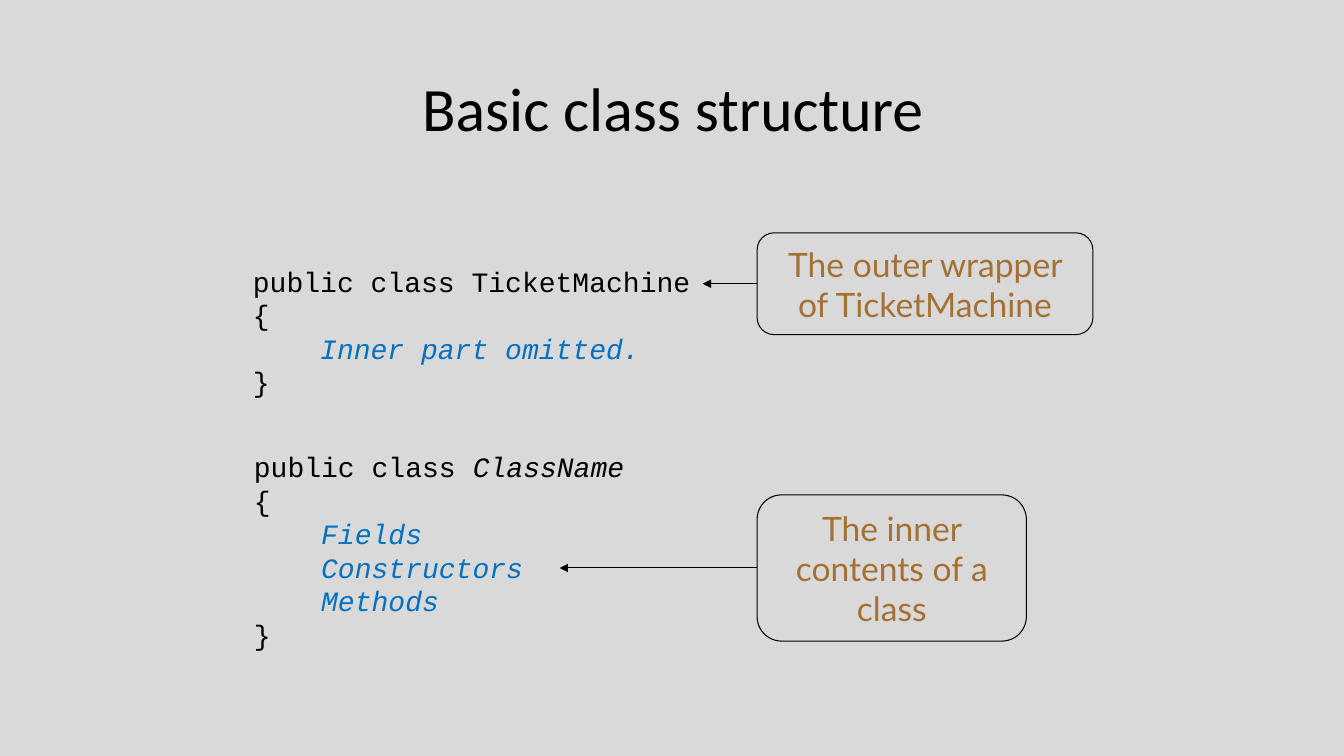
from lxml import etree
from pptx import Presentation
from pptx.dml.color import RGBColor
from pptx.enum.shapes import MSO_CONNECTOR, MSO_SHAPE
from pptx.enum.text import MSO_ANCHOR, MSO_AUTO_SIZE, PP_ALIGN
from pptx.oxml.ns import qn
from pptx.util import Inches, Pt

STRAIGHT = MSO_CONNECTOR.STRAIGHT
ROUNDED = MSO_SHAPE.ROUNDED_RECTANGLE
MIDDLE = MSO_ANCHOR.MIDDLE
CENTER = PP_ALIGN.CENTER
GROW = MSO_AUTO_SIZE.SHAPE_TO_FIT_TEXT
LEFT_SIDE = 1

BACKGROUND = RGBColor(0xD9, 0xD9, 0xD9)
BLACK = RGBColor(0x00, 0x00, 0x00)
BLUE = RGBColor(0x00, 0x70, 0xC0)
BROWN = RGBColor(0xA5, 0x71, 0x33)

INDENT = "    "
CALLOUT_LEFT = 7.51

TICKET_MACHINE = [
    [("public class TicketMachine", BLACK, False)],
    [("{", BLACK, False)],
    [(INDENT + "Inner part omitted.", BLUE, True)],
    [("}", BLACK, False)],
]
CLASS_NAME = [
    [("public class ", BLACK, False), ("ClassName", BLACK, True)],
    [("{", BLACK, False)],
    [(INDENT + "Fields", BLUE, True)],
    [(INDENT + "Constructors", BLUE, True)],
    [(INDENT + "Methods", BLUE, True)],
    [("}", BLACK, False)],
]


def set_centered(tf, text, font, size, color):
    tf.word_wrap = True
    tf.vertical_anchor = MIDDLE
    p = tf.paragraphs[0]
    p.text = text
    p.alignment = CENTER
    p.font.name = font
    p.font.size = Pt(size)
    p.font.color.rgb = color


def add_title(s, box, text):
    sp = s.shapes.add_textbox(*map(Inches, box))
    set_centered(sp.text_frame, text, "Calibri", 44, BLACK)


def add_code(s, box, lines):
    tf = s.shapes.add_textbox(*map(Inches, box)).text_frame
    tf.word_wrap = False
    tf.auto_size = GROW
    for i, line in enumerate(lines):
        p = tf.add_paragraph() if i else tf.paragraphs[0]
        p.font.name = "Courier New"
        p.font.size = Pt(20)
        for text, color, italic in line:
            r = p.add_run()
            r.text = text
            r.font.color.rgb = color
            r.font.italic = italic


def add_callout(s, box, text, tip_x):
    left, top, width, height = box
    sp = s.shapes.add_shape(ROUNDED, *map(Inches, box))
    sp.shadow.inherit = False
    sp.fill.background()
    sp.line.color.rgb = BLACK
    sp.line.width = Pt(0.75)
    set_centered(sp.text_frame, text, "Lato", 24, BROWN)
    sp.text_frame.auto_size = GROW

    middle = Inches(top + height / 2)
    arrow = s.shapes.add_connector(STRAIGHT, Inches(left), middle, Inches(tip_x), middle)
    arrow.begin_connect(sp, LEFT_SIDE)
    arrow.line.color.rgb = BLACK
    arrow.line.width = Pt(0.75)
    etree.SubElement(arrow.line._get_or_add_ln(), qn("a:tailEnd"), type="triangle")
    etree.SubElement(arrow._element.spPr, qn("a:effectLst"))


def build_slide(prs):
    s = prs.slides.add_slide(prs.slide_layouts[6])
    s.background.fill.solid()
    s.background.fill.fore_color.rgb = BACKGROUND
    add_title(s, (0.8, 0.43, 11.75, 1.25), "Basic class structure")
    add_code(s, (2.41, 2.57, 4.58, 1.45), TICKET_MACHINE)
    add_code(s, (2.42, 4.41, 3.9, 2.12), CLASS_NAME)
    add_callout(s, (CALLOUT_LEFT, 2.31, 3.33, 1.01),
                "The outer wrapper of TicketMachine", 6.97)
    add_callout(s, (CALLOUT_LEFT, 4.91, 2.67, 1.45),
                "The inner contents of a class", 5.55)


def main():
    prs = Presentation()
    prs.slide_width = Inches(13.33)
    prs.slide_height = Inches(7.5)
    build_slide(prs)
    prs.save("out.pptx")


if __name__ == "__main__":
    main()
